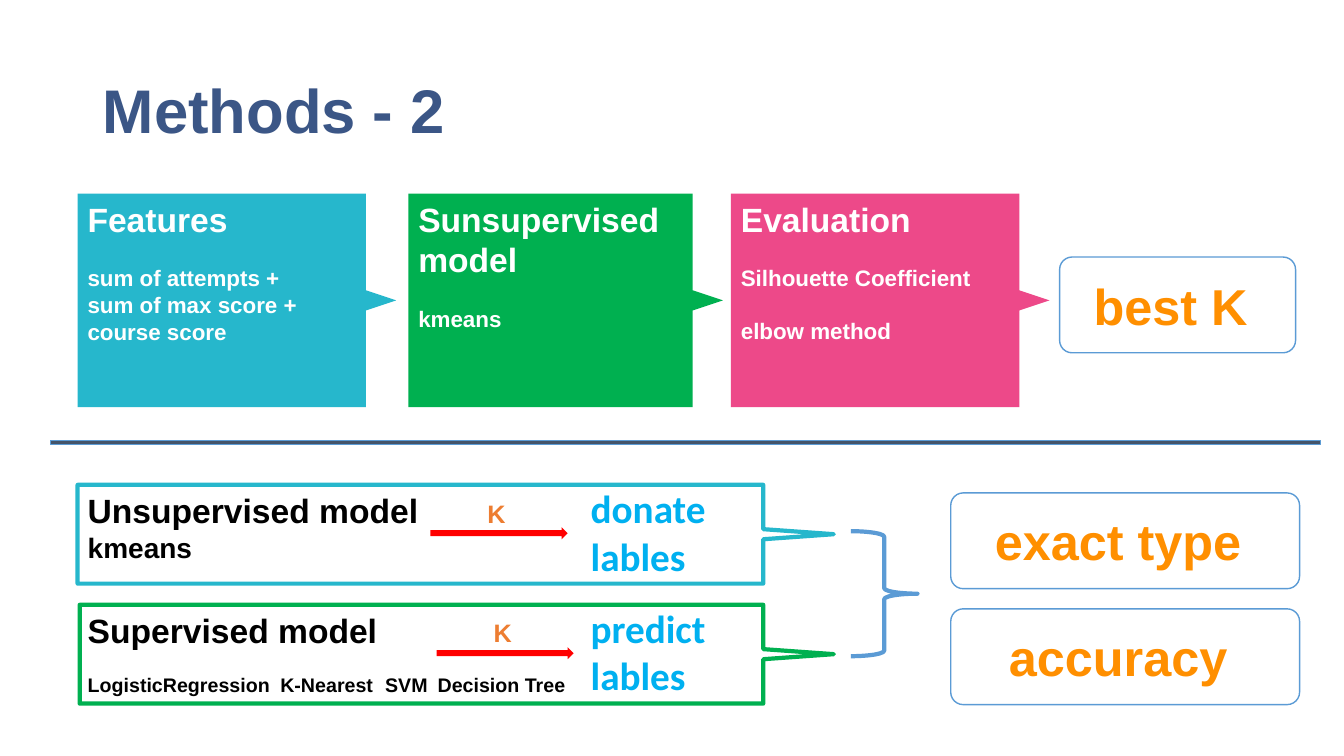
from lxml.etree import SubElement
from pptx import Presentation
from pptx.dml.color import RGBColor
from pptx.enum.shapes import MSO_SHAPE
from pptx.enum.text import MSO_ANCHOR, PP_ALIGN
from pptx.oxml.ns import qn
from pptx.util import Inches, Pt

COLORS = {
    "white": "FFFFFF", "black": "000000", "navy": "3B5686", "slate": "44546A",
    "blue": "5B9BD5", "teal": "26B7CC", "green": "00B050", "pink": "ED4989",
    "amber": "FF8F00", "orange": "ED7D31", "sky": "00B0F0", "red": "FF0000",
}


class Slide:
    """Hold the style and the current slide."""

    def __init__(self, page, font="Arial"):
        """Remember the page and its main font."""
        self.page = page
        self.font = font

    def color(self, name):
        """Return a named colour."""
        return RGBColor.from_string(COLORS[name])

    def paint(self, shape, fill=None, line=None, width=1):
        """Set fill and outline and drop the shadow."""
        shape.shadow.inherit = False
        if fill:
            shape.fill.solid()
            shape.fill.fore_color.rgb = self.color(fill)
        else:
            shape.fill.background()
        if line:
            shape.line.color.rgb = self.color(line)
            shape.line.width = Pt(width)
        else:
            shape.line.fill.background()

    def set_rows(self, shape, rows, color, align=PP_ALIGN.LEFT, anchor=MSO_ANCHOR.TOP, font=None):
        """Fill a shape with rows of text, size and space before."""
        frame = shape.text_frame
        frame.word_wrap = True
        frame.vertical_anchor = anchor
        frame.text = "\n".join(text for text, size, gap in rows)
        for para, (text, size, gap) in zip(frame.paragraphs, rows):
            para.alignment = align
            if gap:
                para.space_before = Pt(gap)
            for span in para.runs:
                span.font.name = font or self.font
                span.font.size = Pt(size)
                span.font.bold = True
                span.font.color.rgb = self.color(color)
        return frame

    def title(self, text):
        """Place the slide title."""
        box = self.page.shapes.title
        box.left, box.top, box.width, box.height = map(Inches, (0.92, 0.4, 11.5, 1.45))
        frame = self.set_rows(box, [(text, 44, 0)], "navy", anchor=MSO_ANCHOR.MIDDLE)
        frame.paragraphs[0].line_spacing = 0.9

    def shape(self, kind, place, fill=None, line=None, width=1):
        """Add a painted preset shape."""
        shape = self.page.shapes.add_shape(kind, *map(Inches, place))
        self.paint(shape, fill, line, width)
        return shape

    def label(self, place, text, size, color, align=PP_ALIGN.LEFT, font=None):
        """Add a text box with one paragraph."""
        box = self.page.shapes.add_textbox(*map(Inches, place))
        self.set_rows(box, [(text, size, 0)], color, align, font=font)

    def callout(self, place, tip, notch, rows, color, fill, line=None):
        """Add a box with a pointer on its right side."""
        left, top, width, height = place
        right, bottom, middle = left + width, top + height, top + height / 2
        points = [(right, top), (right, middle - notch), (right + tip, middle),
                  (right, middle + notch), (right, bottom), (left, bottom)]
        builder = self.page.shapes.build_freeform(Inches(left), Inches(top))
        builder.add_line_segments([(Inches(x), Inches(y)) for x, y in points])
        shape = builder.convert_to_shape()
        self.paint(shape, fill, line, 3)
        frame = self.set_rows(shape, rows, color)
        frame.margin_right = Inches(tip + 0.05)
        return frame

    def card(self, place, text):
        """Add a rounded result card."""
        card = self.shape(MSO_SHAPE.ROUNDED_RECTANGLE, place, "white", "blue")
        card.adjustments[0] = 0.13
        self.set_rows(card, [(text, 36, 0)], "amber", PP_ALIGN.CENTER, MSO_ANCHOR.MIDDLE)

    def tabs(self, para, stops):
        """Give a paragraph left tab stops."""
        tab_list = SubElement(para._p.get_or_add_pPr(), qn("a:tabLst"))
        for stop in stops:
            SubElement(tab_list, qn("a:tab"), pos=str(Inches(stop)), algn="l")


def main():
    """Build the slide."""
    deck = Presentation()
    deck.slide_width, deck.slide_height = Inches(13.33), Inches(7.5)
    slide = Slide(deck.slides.add_slide(deck.slide_layouts[5]))
    slide.title("Methods - 2")

    steps = [
        (0.77, 2.86, "teal", [("Features", 24, 0), ("sum of attempts +", 16, 18.4),
                              ("sum of max score + course score", 16, 0)]),
        (4.05, 2.82, "green", [("Sunsupervised model", 24, 0), ("kmeans", 16, 18.4)]),
        (7.25, 2.86, "pink", [("Evaluation", 24, 0), ("Silhouette Coefficient", 16, 18.4),
                              ("elbow method", 16, 18.4)]),
    ]
    for left, width, fill, rows in steps:
        slide.callout((left, 1.92, width, 2.12), 0.3, 0.1, rows, "white", fill)
    slide.shape(MSO_SHAPE.RECTANGLE, (0.5, 4.37, 12.6, 0.04), "slate", "blue", 0.75)

    models = [
        (0.77, 4.81, 4.27, "teal", "donate lables",
         [("Unsupervised model", 24, 0), ("kmeans", 20, 0)]),
        (0.79, 6, 4.33, "green", "predict lables",
         [("Supervised model", 24, 0),
          ("LogisticRegression\tK-Nearest\tSVM\tDecision Tree", 14, 16)]),
    ]
    for left, top, arrow, line, outcome, rows in models:
        frame = slide.callout((left, top, 7.57 - left, 0.98), 0.7, 0.05, rows, "black", "white", line)
        frame.margin_left = Inches(0.87 - left)
        if "\t" in rows[-1][0]:
            slide.tabs(frame.paragraphs[-1], (1.91, 2.95, 3.47))
        slide.label((5.76, top - 0.05, 2.29, 0.98), outcome, 28, "sky", font="Calibri")
        slide.shape(MSO_SHAPE.RIGHT_ARROW, (arrow, top + 0.42, 1.36, 0.12), "red")
        slide.label((arrow - 0.28, top + 0.08, 1.94, 0.7), "K ", 18, "orange", PP_ALIGN.CENTER)

    slide.shape(MSO_SHAPE.RIGHT_BRACE, (8.44, 5.27, 0.66, 1.24), line="blue", width=3)
    slide.card((10.51, 2.55, 2.34, 0.95), "best K ")
    slide.card((9.43, 4.89, 3.46, 0.95), "exact type ")
    slide.card((9.43, 6.04, 3.46, 0.95), "accuracy ")
    deck.save("out.pptx")


if __name__ == "__main__":
    main()
